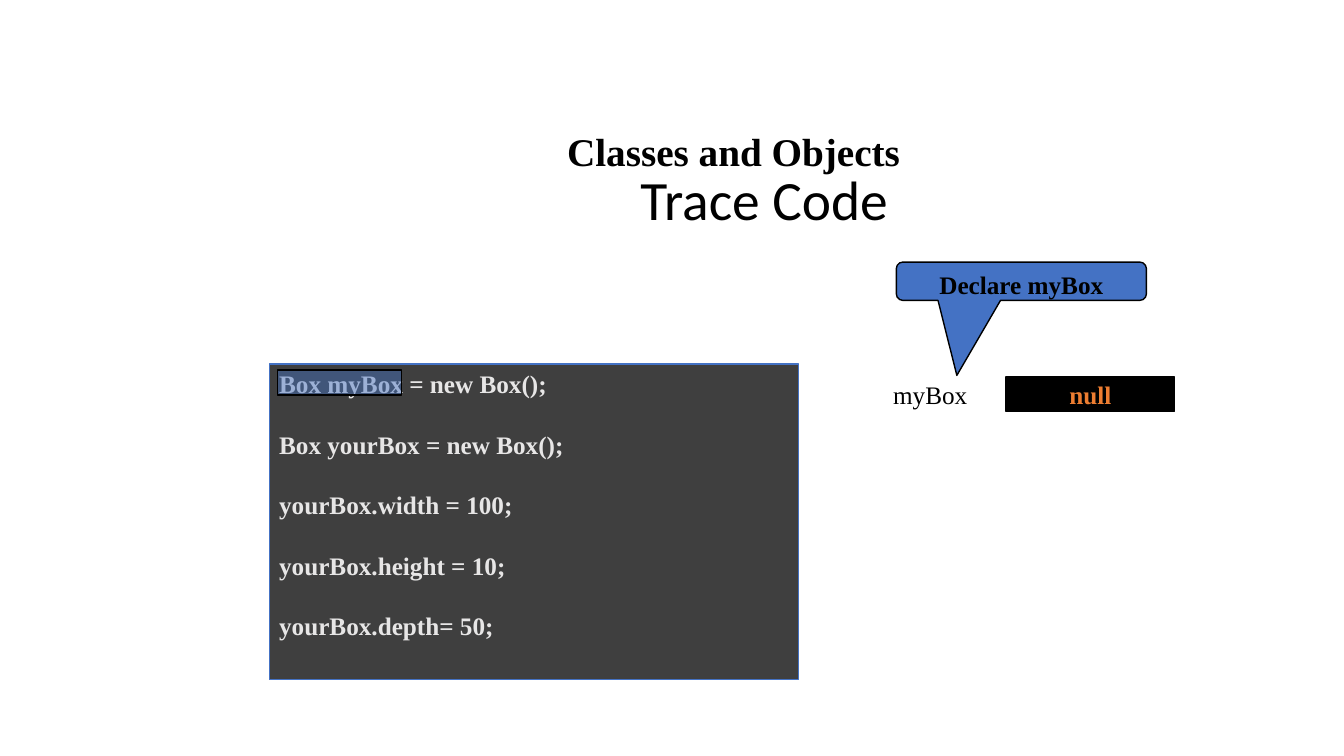
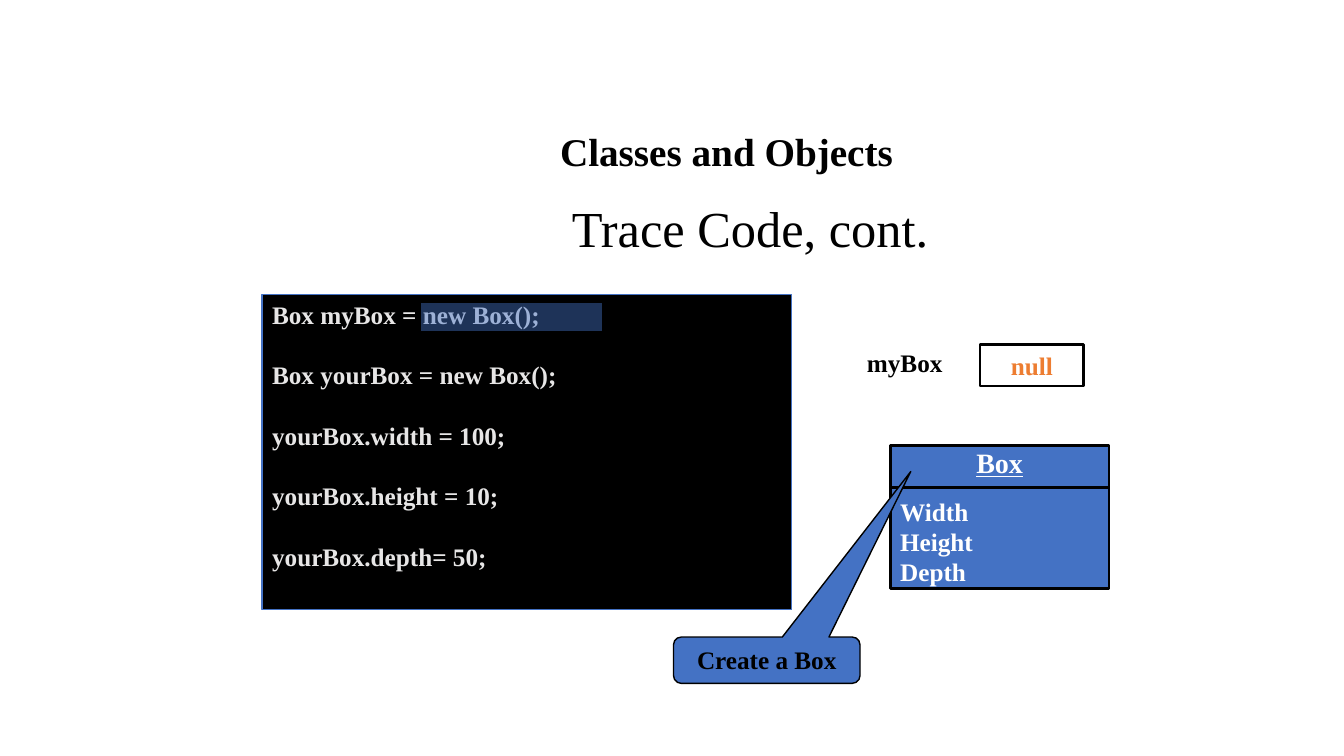
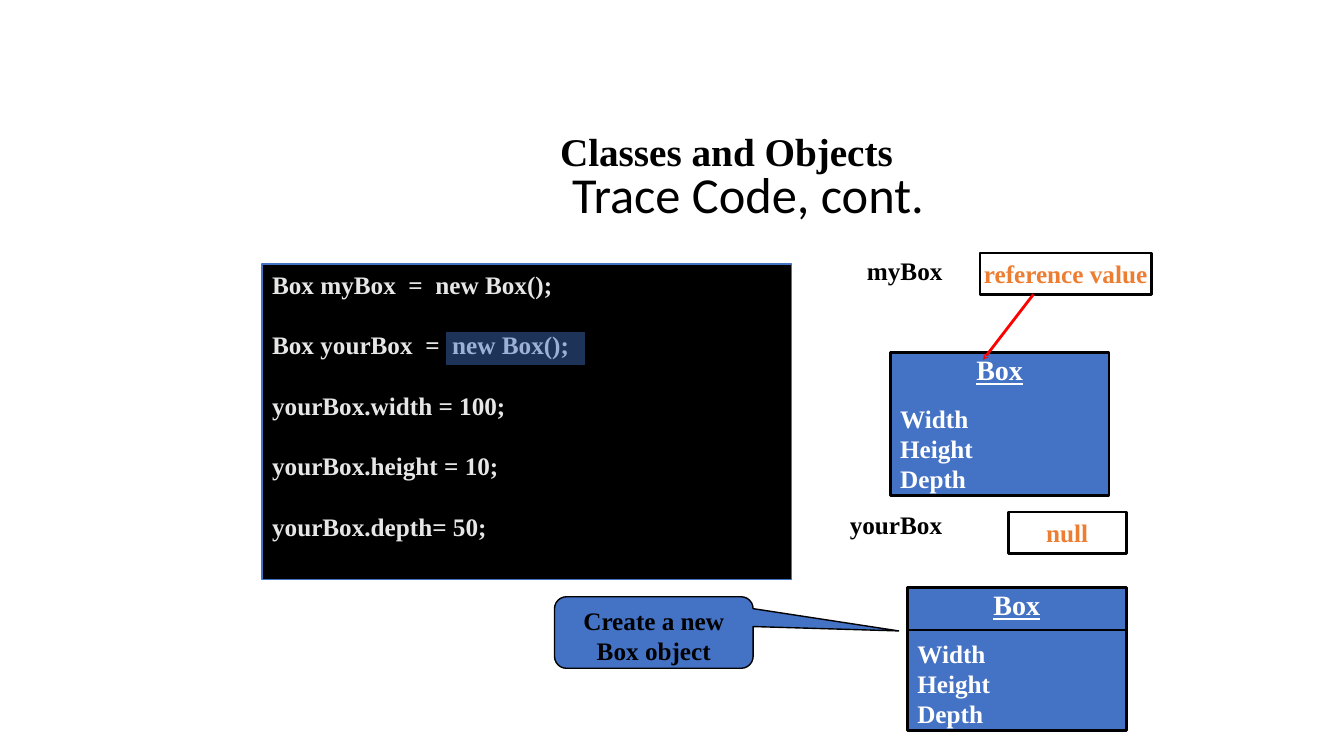
import pptx
import pptx.util
import pptx.dml.color
import pptx.enum.shapes
import pptx.enum.text
import pptx.oxml
import pptx.oxml.ns

Inches, Pt = pptx.util.Inches, pptx.util.Pt
SHAPES = pptx.enum.shapes.MSO_SHAPE
ANCHOR = pptx.enum.text.MSO_ANCHOR
ALIGN = pptx.enum.text.PP_ALIGN

COLORS = {
    "black": "000000", "white": "FFFFFF", "charcoal": "3F3F3F", "blue": "4472C4",
    "code": "E7E6E6", "value": "ED7D31", "reference": "FF0000",
}
SERIF, SANS = "Times New Roman", "Calibri"
BODY = {"name": SERIF, "size": Pt(18), "bold": True}
HEADING = {"name": SERIF, "size": Pt(28), "bold": True}
FIELD_HEADER = {"name": SERIF, "size": Pt(20), "bold": True, "underline": True}

CODE = [
    "Box myBox = new Box();", "Box yourBox = new Box();", "yourBox.width = 100;",
    "yourBox.height = 10;", "yourBox.depth= 50;",
]
SPACED_CODE = ["Box myBox  =  new Box();", "Box yourBox  =  new Box();"] + CODE[2:]


def rgb(color):
    return pptx.dml.color.RGBColor.from_string(COLORS[color])


def apply_format(target, values):
    for name, value in values.items():
        setattr(target, name, value)


def prepare_frame(shape, margins=(0.1, 0.05), anchor=ANCHOR.TOP):
    across, down = (Inches(margin) for margin in margins)
    apply_format(shape.text_frame, {
        "margin_left": across, "margin_right": across, "margin_top": down,
        "margin_bottom": down, "word_wrap": True, "vertical_anchor": anchor})


def write_paragraph(shape, text, font, color, first=True, **layout):
    frame = shape.text_frame
    paragraph = frame.paragraphs[0] if first else frame.add_paragraph()
    apply_format(paragraph, layout)
    run = paragraph.add_run()
    run.text = text
    apply_format(run.font, font)
    run.font.color.rgb = rgb(color)


def add_text(slide, box, text, font, **layout):
    shape = slide.shapes.add_textbox(*map(Inches, box))
    prepare_frame(shape)
    write_paragraph(shape, text, font, "black", **layout)
    return shape


def add_box(slide, box, fill, line="black", width=1, kind=SHAPES.RECTANGLE):
    shape = slide.shapes.add_shape(kind, *map(Inches, box))
    shape.shadow.inherit = False
    if fill:
        shape.fill.solid()
        shape.fill.fore_color.rgb = rgb(fill)
    else:
        shape.fill.background()
    shape.line.color.rgb = rgb(line)
    shape.line.width = Pt(width)
    return shape


def add_line(slide, start, end, color="black", arrow=False):
    line = slide.shapes.add_connector(
        pptx.enum.shapes.MSO_CONNECTOR.STRAIGHT, *map(Inches, start + end))
    line.line.color.rgb = rgb(color)
    line.line.width = Pt(2)
    properties = line._element.spPr
    if arrow:
        tail = pptx.oxml.parse_xml(
            f'<a:tailEnd {pptx.oxml.ns.nsdecls("a")} type="stealth" w="sm" len="sm"/>')
        properties.find(pptx.oxml.ns.qn("a:ln")).append(tail)
    properties.append(pptx.oxml.parse_xml(
        f'<a:effectLst {pptx.oxml.ns.nsdecls("a")}/>'))


# Heading and title at the top of every slide
def add_titles(slide, title, box, font, heading_left=3.33):
    add_text(slide, (heading_left, 1.17, 7.75, 0.58), "Classes and Objects", HEADING,
             alignment=ALIGN.CENTER, line_spacing=1.1)
    shape = add_text(slide, box, title, font, alignment=ALIGN.CENTER, line_spacing=0.9)
    shape.text_frame.vertical_anchor = ANCHOR.MIDDLE


# Code panel; the gap between statements is one line high
def add_code(slide, left, top, lines, fill="black"):
    panel = add_box(slide, (left, top, 5.25, 3.13), fill, "blue")
    prepare_frame(panel)
    for index, line in enumerate(lines):
        write_paragraph(panel, line, BODY, "code", index == 0, alignment=ALIGN.LEFT,
                        space_before=Pt(21.6 if index else 0))


# Translucent marker over the current expression
def add_highlight(slide, box):
    marker = add_box(slide, box, "blue")
    color = marker.fill._xPr.find(pptx.oxml.ns.qn("a:solidFill"))[0]
    color.append(pptx.oxml.parse_xml(
        f'<a:alpha {pptx.oxml.ns.nsdecls("a")} val="45000"/>'))


def add_callout(slide, box, text, tip):
    callout = add_box(slide, box, "blue", kind=SHAPES.ROUNDED_RECTANGULAR_CALLOUT)
    for index, value in enumerate(tip + (0.167,)):
        callout.adjustments[index] = value
    prepare_frame(callout)
    write_paragraph(callout, text, BODY, "black", alignment=ALIGN.CENTER)


# Variable name and the cell with its value
def add_variable(slide, name, name_box, value, value_box, fill=None, bold=True, width=2):
    add_text(slide, name_box, name, {**BODY, "bold": bold})
    cell = add_box(slide, value_box, fill, width=width)
    prepare_frame(cell, (0.01, 0.01), ANCHOR.MIDDLE)
    write_paragraph(cell, value, BODY, "value", alignment=ALIGN.CENTER)


# Object with its fields, and the rule under its name
def add_object(slide, left, top, divided=True):
    width = 2.17
    shape = add_box(slide, (left, top, width, 1.42), "blue", width=2)
    prepare_frame(shape, (0.1, 0))
    write_paragraph(shape, "Box", FIELD_HEADER, "white", alignment=ALIGN.CENTER)
    for field in ("Width", "Height", "Depth"):
        write_paragraph(shape, field, BODY, "white", False, alignment=ALIGN.LEFT,
                        space_before=Pt(12 if field == "Width" else 0))
    if divided:
        add_line(slide, (left, top + 0.42), (left + width, top + 0.42))


def build_declare(slide):
    add_titles(slide, "Trace Code", (3.33, 1.67, 8.5, 0.67),
               {"name": SANS, "size": Pt(39.6)}, heading_left=3.4)
    add_code(slide, 2.67, 3.61, CODE, "charcoal")
    add_callout(slide, (8.89, 2.6, 2.48, 0.38), "Declare myBox", (-0.258, 2.459))
    add_variable(slide, "myBox", (8.76, 3.71, 1.24, 0.4), "null",
                 (9.98, 3.74, 1.67, 0.34), fill="black", bold=False, width=1)
    add_highlight(slide, (2.75, 3.67, 1.23, 0.25))


def build_create(slide):
    add_titles(slide, "Trace Code, cont.", (3.19, 2, 8.5, 0.58),
               {"name": SERIF, "size": Pt(36)})
    add_object(slide, 8.83, 4.42)
    add_code(slide, 2.6, 2.92, CODE)
    add_callout(slide, (6.68, 6.32, 1.85, 0.46), "Create a Box", (0.772, -4.071))
    add_highlight(slide, (4.17, 3, 1.81, 0.29))
    add_variable(slide, "myBox", (8.5, 3.4, 1.24, 0.4), "null", (9.72, 3.42, 1.03, 0.41))


def build_create_second(slide):
    add_titles(slide, "Trace Code, cont.", (3.17, 1.67, 8.5, 0.58),
               {"name": SANS, "size": Pt(36)})
    add_callout(slide, (5.5, 5.92, 1.97, 0.71), "Create a new Box object", (1.233, -0.022))
    add_variable(slide, "myBox", (8.5, 2.48, 1.24, 0.4), "reference value",
                 (9.72, 2.51, 1.7, 0.41))
    add_object(slide, 8.83, 3.5, divided=False)
    add_code(slide, 2.6, 2.62, SPACED_CODE)
    add_line(slide, (10.25, 2.92), (9.75, 3.57), "reference", arrow=True)
    add_variable(slide, "yourBox", (8.33, 5, 1.34, 0.4), "null", (10, 5.08, 1.17, 0.41))
    add_highlight(slide, (4.42, 3.29, 1.39, 0.34))
    add_object(slide, 9, 5.83)


def main():
    presentation = pptx.Presentation()
    presentation.slide_width = Inches(13.33)
    presentation.slide_height = Inches(7.5)
    for build in (build_declare, build_create, build_create_second):
        build(presentation.slides.add_slide(presentation.slide_layouts[6]))
    presentation.save("out.pptx")


if __name__ == "__main__":
    main()
